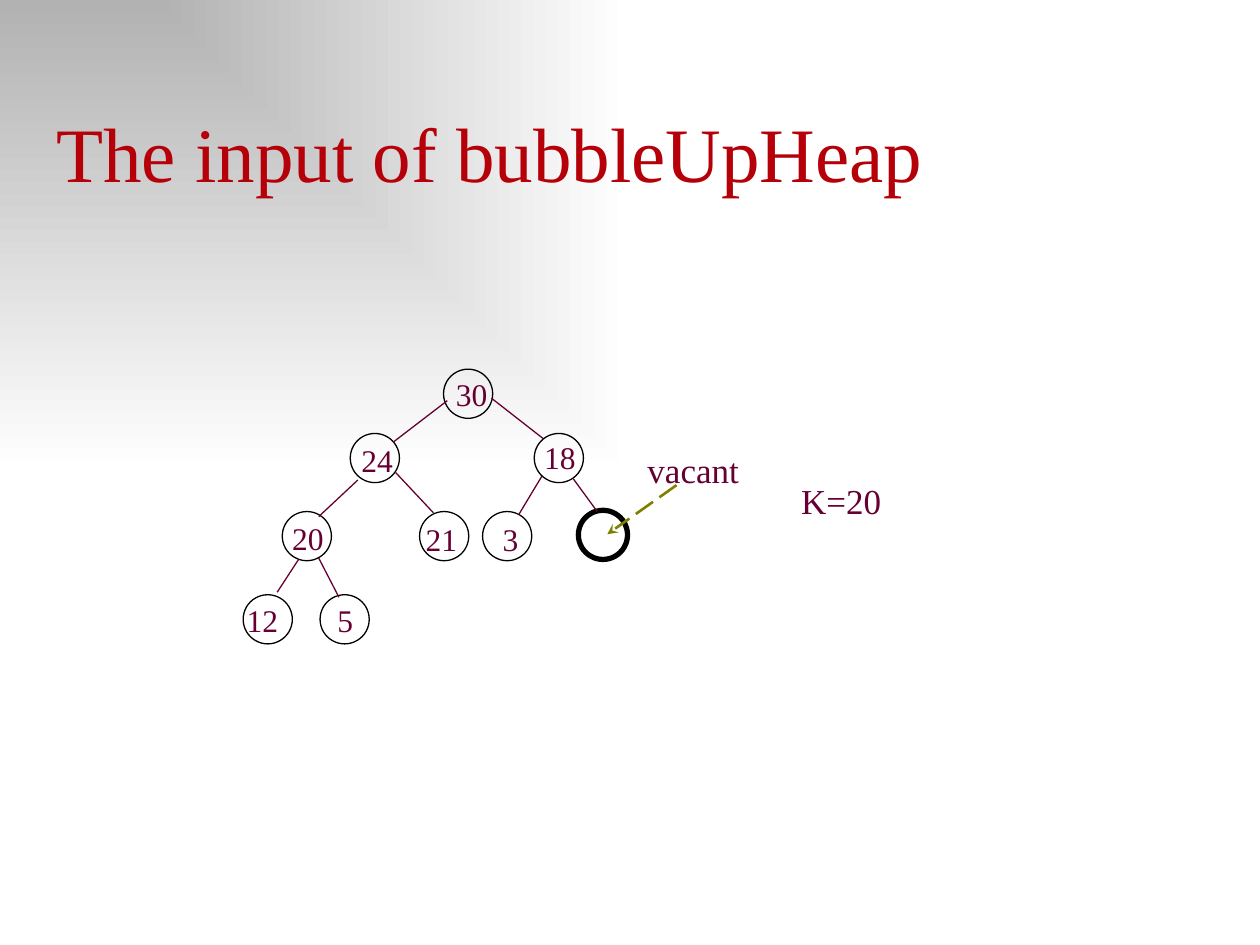
from typing import NamedTuple

from lxml import etree
from pptx import Presentation
from pptx.dml.color import RGBColor
from pptx.enum import dml, shapes, text
from pptx.oxml.ns import qn
from pptx.util import Inches, Pt

FONT = "Times New Roman"
RED = RGBColor(0xB6, 0x00, 0x09)
PLUM = RGBColor(0x66, 0x00, 0x33)
OLIVE = RGBColor(0x80, 0x80, 0x00)
BLACK = RGBColor(0x00, 0x00, 0x00)
GRAY = RGBColor(0xB2, 0xB2, 0xB2)
WHITE = RGBColor(0xFF, 0xFF, 0xFF)
NODE_SIZE = 0.39
KEY_HEIGHT = 0.36


class Node(NamedTuple):
    left: float
    top: float
    line_width: float = 0.75


class Label(NamedTuple):
    words: str
    left: float
    top: float
    width: float
    height: float = KEY_HEIGHT
    size: float = 18
    color: RGBColor = PLUM
    align: text.PP_ALIGN = text.PP_ALIGN.JUSTIFY
    anchor: text.MSO_ANCHOR = text.MSO_ANCHOR.TOP


class Edge(NamedTuple):
    x1: float
    y1: float
    x2: float
    y2: float


NODES = [
    Node(3.52, 2.93),
    Node(2.78, 3.44), Node(4.24, 3.44),
    Node(2.24, 4.06), Node(3.33, 4.06), Node(3.83, 4.06),
    Node(4.59, 4.05, line_width=3),
    Node(1.93, 4.72), Node(2.54, 4.72),
]
EDGES = [
    Edge(3.55, 3.18, 3.12, 3.51), Edge(3.9, 3.16, 4.31, 3.48),
    Edge(2.84, 3.81, 2.53, 4.1), Edge(3.14, 3.75, 3.44, 4.07),
    Edge(4.3, 3.78, 4.12, 4.08), Edge(4.55, 3.8, 4.74, 4.06),
    Edge(2.37, 4.44, 2.2, 4.7), Edge(2.53, 4.43, 2.69, 4.74),
]
VACANT_ARROW = Edge(5.37, 3.85, 4.82, 4.24)
LABELS = [
    Label("The input of bubbleUpHeap", 0.35, 0.79, 9.45, 0.83, 44, RED,
          text.PP_ALIGN.LEFT, text.MSO_ANCHOR.BOTTOM),
    Label("30", 3.52, 2.93, 0.66),
    Label("24", 2.77, 3.45, 0.57),
    Label("18", 4.22, 3.43, 0.66),
    Label("20", 2.22, 4.07, 0.55),
    Label("21", 3.28, 4.08, 0.66),
    Label("3", 3.89, 4.08, 0.66),
    Label("12", 1.86, 4.72, 0.66),
    Label("5", 2.58, 4.72, 0.39),
    Label("K=20", 6.26, 3.76, 0.9, 0.39, 20),
    Label("vacant", 5.04, 3.51, 1.89, 0.43, 20, align=text.PP_ALIGN.LEFT),
]


def paint_background(slide) -> None:
    """Fade from gray in the top left corner to white."""
    fill = slide.background.fill
    fill.gradient()
    for stop, color in zip(fill.gradient_stops, (GRAY, WHITE)):
        stop.color.rgb = color
    gradient = slide.element.find(".//" + qn("a:gradFill"))
    gradient.remove(gradient.find(qn("a:lin")))
    fade = etree.SubElement(gradient, qn("a:path"), path="rect")
    etree.SubElement(fade, qn("a:fillToRect"), r="100000", b="100000")


def draw_node(slide, node: Node) -> None:
    circle = slide.shapes.add_shape(
        shapes.MSO_SHAPE.OVAL, Inches(node.left), Inches(node.top),
        Inches(NODE_SIZE), Inches(NODE_SIZE))
    circle.shadow.inherit = False
    circle.fill.background()
    circle.line.color.rgb = BLACK
    circle.line.width = Pt(node.line_width)


def draw_label(slide, label: Label) -> None:
    box = slide.shapes.add_textbox(
        Inches(label.left), Inches(label.top),
        Inches(label.width), Inches(label.height))
    frame = box.text_frame
    frame.word_wrap = True
    frame.vertical_anchor = label.anchor
    paragraph = frame.paragraphs[0]
    paragraph.text = label.words
    paragraph.alignment = label.align
    paragraph.font.name = FONT
    paragraph.font.size = Pt(label.size)
    paragraph.font.color.rgb = label.color


def draw_edge(slide, edge: Edge, color: RGBColor = PLUM, width: float = 0.75):
    connector = slide.shapes.add_connector(
        shapes.MSO_CONNECTOR.STRAIGHT, *(Inches(value) for value in edge))
    connector.line.color.rgb = color
    connector.line.width = Pt(width)
    etree.SubElement(connector.element.spPr, qn("a:effectLst"))
    return connector


def draw_vacant_arrow(slide) -> None:
    line = draw_edge(slide, VACANT_ARROW, OLIVE, 1.5).line
    line.dash_style = dml.MSO_LINE.LONG_DASH
    etree.SubElement(line._get_or_add_ln(), qn("a:tailEnd"), type="stealth")


def main() -> None:
    deck = Presentation()
    deck.slide_width, deck.slide_height = Inches(10), Inches(7.5)
    slide = deck.slides.add_slide(deck.slide_layouts[6])
    paint_background(slide)
    for node in NODES:
        draw_node(slide, node)
    for label in LABELS:
        draw_label(slide, label)
    for edge in EDGES:
        draw_edge(slide, edge)
    draw_vacant_arrow(slide)
    deck.save("out.pptx")


if __name__ == "__main__":
    main()
